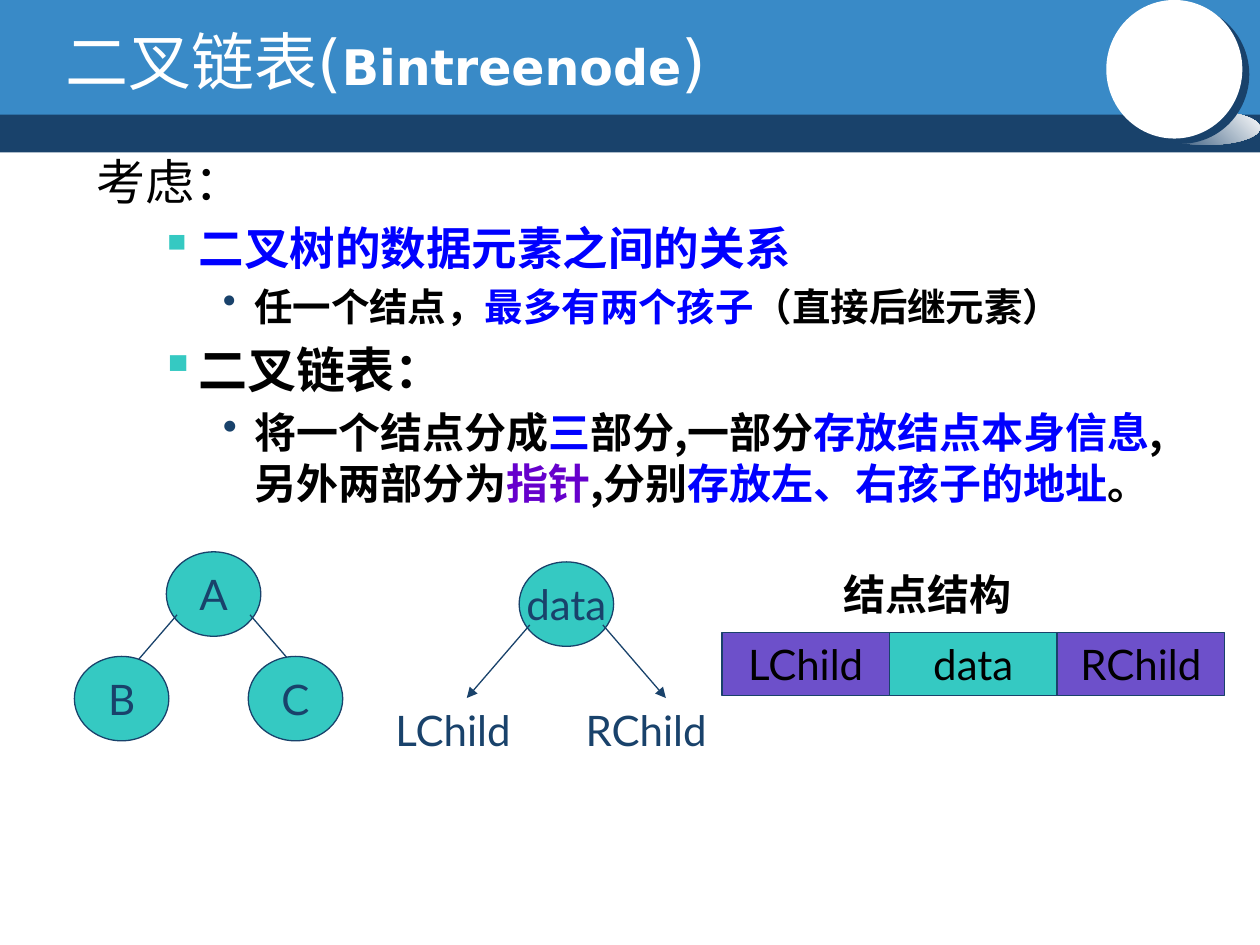
from dataclasses import dataclass

import pptx
import pptx.util
import pptx.dml.color
import pptx.enum.shapes
import pptx.enum.text
import pptx.oxml
import pptx.oxml.ns
from lxml import etree

Pt = pptx.util.Pt
RGB = pptx.dml.color.RGBColor
Kind = pptx.enum.shapes.MSO_SHAPE
Align = pptx.enum.text.PP_ALIGN
Anchor = pptx.enum.text.MSO_ANCHOR

NAVY = RGB(0x19, 0x42, 0x6B)
SKY = RGB(0x39, 0x8A, 0xC7)
TEAL = RGB(0x35, 0xC9, 0xC2)
VIOLET = RGB(0x6D, 0x50, 0xCA)
PURPLE = RGB(0x66, 0x00, 0xCC)
BLUE = RGB(0x00, 0x00, 0xFF)
BLACK = RGB(0x00, 0x00, 0x00)
WHITE = RGB(0xFF, 0xFF, 0xFF)
LATIN, HAN, TITLE = "Lato", "Noto Sans CJK SC", "DejaVu Sans"

# The slide is a grid of 100 columns by 75 rows
COLS, ROWS = 100, 75
UNIT = pptx.util.Inches(0.1)


@dataclass
class Box:
    col: float
    row: float
    wide: float
    high: float

    def span(self) -> list[int]:
        return [round(n * UNIT) for n in (self.col, self.row, self.wide, self.high)]


@dataclass
class Item:
    level: int
    size: float
    bold: bool
    words: list[tuple[str, RGB]]


@dataclass
class Level:
    left: float
    hang: float
    mark: str = ""
    tint: RGB = BLACK


LEVELS = [Level(3.8, 3.8), Level(8.1, 3.1, "▪", TEAL), Level(12.5, 2.5, "•", NAVY)]
ITEMS = [
    Item(0, 28, False, [("考虑：", BLACK)]),
    Item(1, 26, True, [("二叉树的数据元素之间的关系", BLUE)]),
    Item(2, 22, True, [("任一个结点，", BLACK), ("最多有两个孩子", BLUE),
                       ("（直接后继元素）", BLACK)]),
    Item(1, 28, True, [("二叉链表：", BLACK)]),
    Item(2, 24, True, [("将一个结点分成", BLACK), ("三", BLUE), ("部分,一部分", BLACK),
                       ("存放结点本身信息", BLUE), (",另外两部分为", BLACK),
                       ("指针", PURPLE), (",分别", BLACK),
                       ("存放左、右孩子的地址", BLUE), ("。", BLACK)]),
]


def add_sub(node, tag: str, **attrs):
    return etree.SubElement(node, pptx.oxml.ns.qn(tag), **attrs)


def set_font(para, size: float, name: str, tint: RGB | None = None, bold: bool = False):
    font = para.font
    font.size, font.name, font.bold = Pt(size), name, bold
    if tint is not None:
        font.color.rgb = tint
    if name == HAN:
        add_sub(para._p.pPr.find(pptx.oxml.ns.qn("a:defRPr")), "a:ea", typeface=name)
        para.line_spacing = Pt(round(size * 1.21, 1))


def add_shape(slide, kind, box: Box, fill: RGB, line: RGB | None = None):
    shape = slide.shapes.add_shape(kind, *box.span())
    shape.shadow.inherit = False
    shape.fill.solid()
    shape.fill.fore_color.rgb = fill
    if line is None:
        shape.line.fill.background()
    else:
        shape.line.color.rgb = line
        shape.line.width = Pt(0.75)
    return shape


def add_label(slide, kind, box: Box, text: str, fill: RGB, tint: RGB):
    frame = add_shape(slide, kind, box, fill, NAVY).text_frame
    frame.word_wrap = False
    frame.vertical_anchor = Anchor.MIDDLE
    para = frame.paragraphs[0]
    para.text = text
    para.alignment = Align.CENTER
    set_font(para, 24, LATIN, tint)


def add_text(slide, box: Box, wrap: bool = True):
    frame = slide.shapes.add_textbox(*box.span()).text_frame
    frame.word_wrap = wrap
    return frame


def add_note(slide, box: Box, text: str, name: str, tint: RGB, bold: bool = False):
    para = add_text(slide, box).paragraphs[0]
    para.text = text
    set_font(para, 24, name, tint, bold)


def add_arrow(slide, col: float, row: float, across: float, down: float):
    ends = [round(n * UNIT) for n in (col, row, col + across, row + down)]
    arrow = slide.shapes.add_connector(pptx.enum.shapes.MSO_CONNECTOR.STRAIGHT, *ends)
    arrow.line.color.rgb = NAVY
    arrow.line.width = Pt(0.75)
    add_sub(arrow.line._get_or_add_ln(), "a:tailEnd", type="triangle")
    add_sub(arrow._element.spPr, "a:effectLst")


def add_node(slide, col: float, row: float, text: str):
    add_label(slide, Kind.OVAL, Box(col, row, 7.5, 6.7), text, TEAL, NAVY)


def add_root(slide, col: float, row: float, text: str):
    """Draw a node with an arrow down to each child."""
    add_node(slide, col, row, text)
    add_arrow(slide, col + 0.85, row + 5, -5, 5.8)
    add_arrow(slide, col + 6.65, row + 5, 5, 5.8)


def add_banner(slide):
    add_shape(slide, Kind.RECTANGLE, Box(0, 8.7, COLS, 3.4), NAVY)
    add_shape(slide, Kind.RECTANGLE, Box(0, 0, COLS, 9.1), SKY)
    glow = add_shape(slide, Kind.OVAL, Box(91.5, 8.8, 8.5, 2.7), WHITE)
    glow.fill.gradient()
    glow.fill.gradient_angle = 45
    for stop, tint in zip(glow.fill.gradient_stops, (NAVY, WHITE)):
        stop.color.rgb = tint
    disc = add_shape(slide, Kind.OVAL, Box(87.8, 0, 10.8, 11), WHITE)
    effects = disc._element.spPr.find(pptx.oxml.ns.qn("a:effectLst"))
    shade = add_sub(effects, "a:outerShdw", blurRad="0", dist=str(int(Pt(5))),
                    dir=str(37 * 60000), algn="ctr", rotWithShape="0")
    add_sub(shade, "a:srgbClr", val=str(NAVY))
    add_shape(slide, Kind.OVAL, Box(91.4, 3.9, 3.8, 3.8), WHITE)


def add_title(slide):
    frame = add_text(slide, Box(4.2, 1.7, 80.8, 6.2))
    frame.vertical_anchor = Anchor.MIDDLE
    para = frame.paragraphs[0]
    para.font.name = TITLE
    para.font.color.rgb = WHITE
    for text, size, bold in (("二叉链表(", 36, False), ("Bintreenode", 28, True),
                             (")", 36, False)):
        run = para.add_run()
        run.text = text
        run.font.size, run.font.bold = Pt(size), bold


def add_body(slide):
    frame = add_text(slide, Box(6.7, 11.5, 89, 36.8))
    for num, item in enumerate(ITEMS):
        para = frame.add_paragraph() if num else frame.paragraphs[0]
        level = LEVELS[item.level]
        para.level = item.level
        props = para._p.get_or_add_pPr()
        props.set("marL", str(round(level.left * UNIT)))
        props.set("indent", str(-round(level.hang * UNIT)))
        if level.mark:
            add_sub(add_sub(props, "a:buClr"), "a:srgbClr", val=str(level.tint))
            add_sub(props, "a:buChar", char=level.mark)
        set_font(para, item.size, HAN, bold=item.bold)
        if num:
            para.space_before = Pt(round(item.size * 0.2, 1))
        for text, tint in item.words:
            run = para.add_run()
            run.text = text
            run.font.color.rgb = tint


def main():
    deck = pptx.Presentation()
    deck.slide_width, deck.slide_height = COLS * UNIT, ROWS * UNIT
    slide = deck.slides.add_slide(deck.slide_layouts[6])
    add_banner(slide)
    add_title(slide)
    add_body(slide)

    # Node with its two pointers
    add_root(slide, 41.2, 44.6, "data")
    for col, text in ((30.4, "LChild"), (45.5, "RChild")):
        add_note(slide, Box(col, 55.4, 12, 5), text, LATIN, NAVY)

    # Record layout
    fields = (("LChild", VIOLET), ("data", TEAL), ("RChild", VIOLET))
    for num, (text, fill) in enumerate(fields):
        cell = Box(57.3 + num * 13.3, 50.2, 13.3, 5)
        add_label(slide, Kind.RECTANGLE, cell, text, fill, BLACK)
    add_note(slide, Box(66, 44.6, 17.3, 5), "结点结构", HAN, BLACK, True)

    # Sample tree
    add_root(slide, 13.2, 43.8, "A")
    for col, text in ((5.9, "B"), (19.7, "C")):
        add_node(slide, col, 52.1, text)

    deck.save("out.pptx")


if __name__ == "__main__":
    main()
